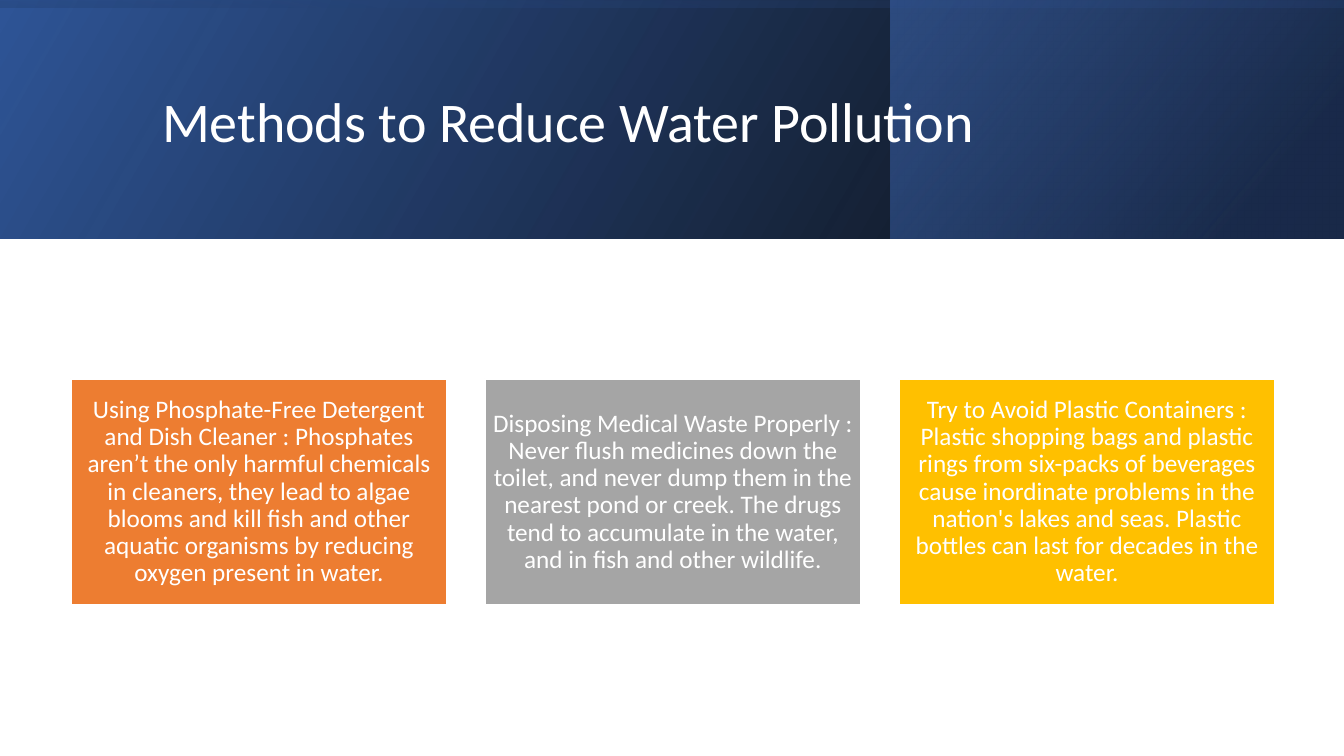
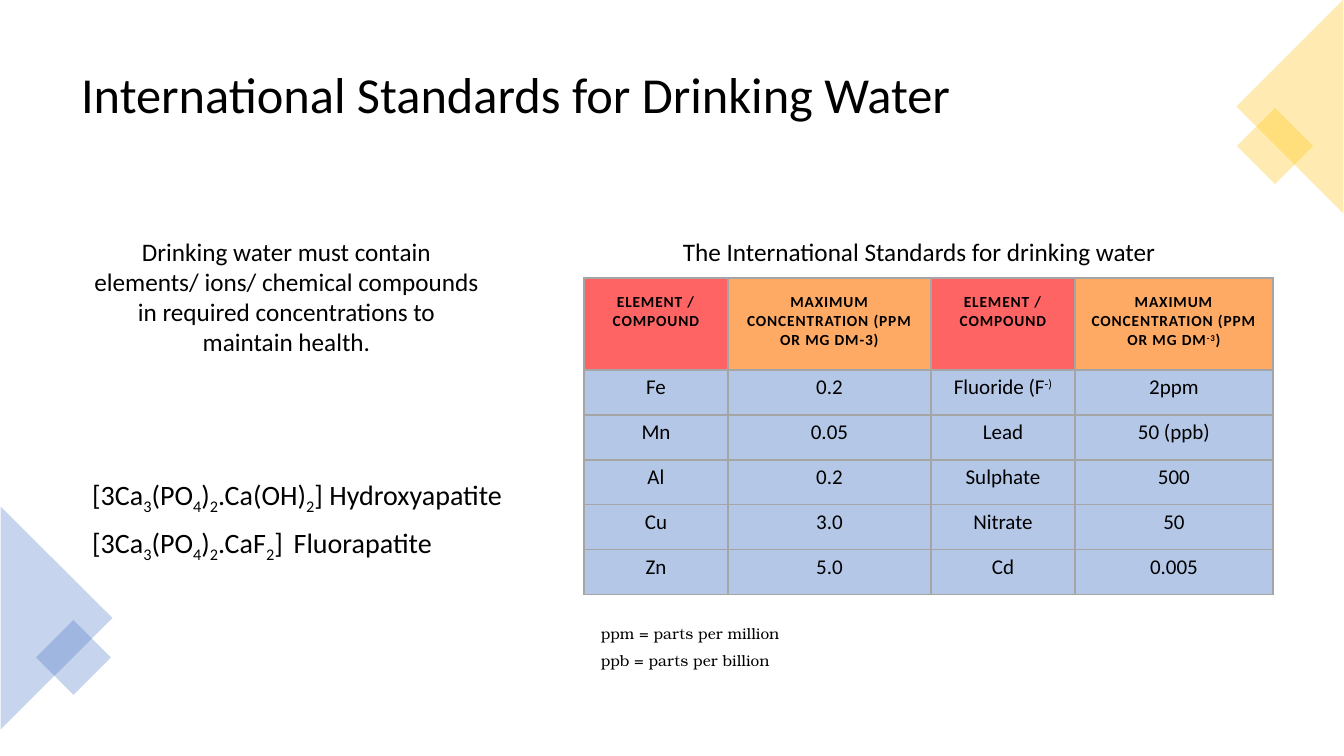
"""Builds two slides on reducing water pollution and on drinking water standards."""
from dataclasses import dataclass
from typing import Any, NamedTuple, Optional

import lxml.etree
import pptx
import pptx.dml.color
import pptx.enum.shapes
import pptx.enum.text
import pptx.oxml.ns
import pptx.util

RGBColor = pptx.dml.color.RGBColor
WHITE = RGBColor(0xFF, 0xFF, 0xFF)
BLACK = RGBColor(0x00, 0x00, 0x00)
NAVY = RGBColor(0x20, 0x38, 0x64)
DEEP_BLUE = RGBColor(0x2F, 0x55, 0x97)
BLUE = RGBColor(0x44, 0x72, 0xC4)
PALE_BLUE = RGBColor(0xB4, 0xC7, 0xE7)
ORANGE = RGBColor(0xED, 0x7D, 0x31)
GREY = RGBColor(0xA5, 0xA5, 0xA5)
GOLD = RGBColor(0xFF, 0xC0, 0x00)
RED = RGBColor(0xFF, 0x64, 0x64)
APRICOT = RGBColor(0xFF, 0xAA, 0x64)

EMU_PER_PX = 9071.43
SUBSCRIPT = -25000
SUPERSCRIPT = 30000
RECTANGLE = pptx.enum.shapes.MSO_SHAPE.RECTANGLE
TRIANGLE = pptx.enum.shapes.MSO_SHAPE.ISOSCELES_TRIANGLE
LEFT = pptx.enum.text.PP_ALIGN.LEFT
CENTER = pptx.enum.text.PP_ALIGN.CENTER
MIDDLE = pptx.enum.text.MSO_ANCHOR.MIDDLE


class Frame(NamedTuple):
    """Position and size in px."""
    left: int
    top: int
    width: int
    height: int


class Stop(NamedTuple):
    """Gradient stop with position and opacity in percent."""
    position: int
    color: RGBColor
    opacity: int


@dataclass(frozen=True)
class TextStyle:
    """Character and paragraph format, with sizes and spaces in points."""
    size: int
    color: RGBColor = BLACK
    font: str = "Calibri"
    bold: bool = False
    align: Any = LEFT
    line: float = 1.0
    before: int = 0
    after: int = 0
    tracking: int = 0
    shift: int = 0


@dataclass(frozen=True)
class Band:
    """Gradient layer of the title band."""
    frame: Frame
    stops: tuple[Stop, Stop]
    angle: int
    rotation: int = 0


@dataclass(frozen=True)
class Card:
    """Coloured box holding one method."""
    color: RGBColor
    text: str


@dataclass(frozen=True)
class Ornament:
    """Translucent corner shape."""
    kind: Any
    frame: Frame
    rotation: int
    color: RGBColor


@dataclass(frozen=True)
class Note:
    """Free text block; bars in a line set off shifted characters."""
    frame: Frame
    lines: tuple[str, ...]
    style: TextStyle


BANDS = (
    Band(Frame(0, 0, 1344, 239), (Stop(0, BLACK, 96), Stop(100, DEEP_BLUE, 100)), 30),
    Band(Frame(891, 0, 452, 239), (Stop(19, NAVY, 68), Stop(100, BLUE, 48)), 40),
    Band(Frame(552, -552, 239, 1344), (Stop(23, DEEP_BLUE, 16), Stop(99, BLACK, 45)), 10, 270),
)
CARDS = (
    Card(ORANGE, "Using Phosphate-Free Detergent and Dish Cleaner : Phosphates aren’t the only "
         "harmful chemicals in cleaners, they lead to algae blooms and kill fish and other "
         "aquatic organisms by reducing oxygen present in water."),
    Card(GREY, "Disposing Medical Waste Properly : Never flush medicines down the toilet, and "
         "never dump them in the nearest pond or creek. The drugs tend to accumulate in the "
         "water, and in fish and other wildlife."),
    Card(GOLD, "Try to Avoid Plastic Containers : Plastic shopping bags and plastic rings from "
         "six-packs of beverages cause inordinate problems in the nation's lakes and seas. "
         "Plastic bottles can last for decades in the water."),
)
FIRST_CARD = Frame(71, 379, 376, 226)
CARD_PITCH = 414
CARD_STYLE = TextStyle(18, WHITE, align=CENTER, line=0.9)

ORNAMENTS = (
    Ornament(TRIANGLE, Frame(-55, 562, 223, 112), 90, BLUE),
    Ornament(RECTANGLE, Frame(47, 631, 53, 53), 45, BLUE),
    Ornament(RECTANGLE, Frame(1248, 119, 54, 54), 45, GOLD),
    Ornament(TRIANGLE, Frame(1183, 53, 214, 107), 270, GOLD),
)
NOTES = (
    Note(Frame(673, 231, 509, 40), ("The International Standards for drinking water",),
         TextStyle(18, after=6)),
    Note(Frame(591, 619, 302, 56), ("ppm = parts per million", "ppb = parts per billion"),
         TextStyle(11, font="TeX Gyre Bonum", after=6)),
    Note(Frame(82, 231, 409, 132),
         ("Drinking water must contain elements/ ions/ chemical compounds in required "
          "concentrations to maintain health.",), TextStyle(18, align=CENTER, after=6)),
)
FORMULAS = Note(
    Frame(82, 473, 478, 98),
    ("[3Ca|3|(PO|4|)|2|.Ca(OH)|2|] Hydroxyapatite", "[3Ca|3|(PO|4|)|2|.CaF|2|]\tFluorapatite"),
    TextStyle(20, line=0.9, before=10, shift=SUBSCRIPT))
FORMULA_TAB = 241

STANDARDS = (
    ("ELEMENT / COMPOUND", "MAXIMUM CONCENTRATION (PPM OR MG DM-3)",
     "ELEMENT / COMPOUND", "MAXIMUM CONCENTRATION (PPM OR MG DM|-3|)"),
    ("Fe", "0.2", "Fluoride (F|-)", "2ppm"),
    ("Mn", "0.05", "Lead", "50 (ppb)"),
    ("Al", "0.2", "Sulphate", "500"),
    ("Cu", "3.0", "Nitrate", "50"),
    ("Zn", "5.0", "Cd", "0.005"),
)
COLUMN_WIDTHS = (144, 203, 144, 198)
HEADER_HEIGHT, ROW_HEIGHT = 92, 45
HEADER_STYLE = TextStyle(11, bold=True, align=CENTER, tracking=60, shift=SUPERSCRIPT)
VALUE_STYLE = TextStyle(15, align=CENTER, shift=SUPERSCRIPT)


def px(length: int) -> pptx.util.Emu:
    """Turn px into EMU."""
    return pptx.util.Emu(round(length * EMU_PER_PX))


def place(frame: Frame) -> tuple[pptx.util.Emu, ...]:
    """Turn a frame into EMU."""
    return tuple(px(length) for length in frame)


def add_child(parent: Any, tag: str, **attributes: str) -> Any:
    """Append a DrawingML element."""
    return lxml.etree.SubElement(parent, pptx.oxml.ns.qn(tag), attributes)


def write(paragraph: Any, line: str, style: TextStyle) -> None:
    """Write a line whose odd parts between bars are shifted."""
    paragraph.alignment = style.align
    paragraph.line_spacing = style.line
    paragraph.space_before = pptx.util.Pt(style.before)
    paragraph.space_after = pptx.util.Pt(style.after)
    for index, part in enumerate(line.split("|")):
        run = paragraph.add_run()
        run.text = part
        run.font.name = style.font
        run.font.size = pptx.util.Pt(style.size)
        run.font.bold = style.bold
        run.font.color.rgb = style.color
        properties = run.font._element
        if style.tracking:
            properties.set("spc", str(style.tracking))
        if index % 2:
            properties.set("baseline", str(style.shift))


def write_lines(text_frame: Any, lines: tuple[str, ...], style: TextStyle) -> None:
    """Fill a text frame with one paragraph per line."""
    text_frame.word_wrap = True
    text_frame.auto_size = pptx.enum.text.MSO_AUTO_SIZE.NONE
    for index, line in enumerate(lines):
        write(text_frame.add_paragraph() if index else text_frame.paragraphs[0], line, style)


def move(placeholder: Any, frame: Frame) -> None:
    """Move a placeholder to a frame."""
    placeholder.left, placeholder.top, placeholder.width, placeholder.height = place(frame)


def add_title(slide: Any, text: str, frame: Frame, style: TextStyle) -> None:
    """Fill the title placeholder and bring it to the front."""
    title = slide.shapes.title
    move(title, frame)
    title.text_frame.vertical_anchor = MIDDLE
    write_lines(title.text_frame, (text,), style)
    title.element.getparent().append(title.element)


def add_plain_shape(slide: Any, kind: Any, frame: Frame, color: Optional[RGBColor] = None,
                    rotation: int = 0) -> Any:
    """Add a shape without outline or shadow."""
    shape = slide.shapes.add_shape(kind, *place(frame))
    shape.shadow.inherit = False
    shape.line.fill.background()
    shape.rotation = rotation
    if color is not None:
        shape.fill.solid()
        shape.fill.fore_color.rgb = color
    return shape


def set_opacity(shape: Any, *percents: int) -> None:
    """Give the fill colours of a shape their opacity."""
    colors = list(shape.element.spPr.iter(pptx.oxml.ns.qn("a:srgbClr")))
    for color, percent in zip(colors, percents):
        add_child(color, "a:alpha", val=str(percent * 1000))


def add_band(slide: Any, band: Band) -> None:
    """Add a mirrored gradient layer."""
    layer = add_plain_shape(slide, RECTANGLE, band.frame, rotation=band.rotation)
    layer.element.spPr.find(pptx.oxml.ns.qn("a:xfrm")).set("flipH", "1")
    layer.fill.gradient()
    layer.fill.gradient_angle = band.angle
    for target, stop in zip(layer.fill.gradient_stops, band.stops):
        target.position = stop.position / 100
        target.color.rgb = stop.color
    set_opacity(layer, *(stop.opacity for stop in band.stops))


def add_card(slide: Any, card: Card, frame: Frame) -> None:
    """Add a method card."""
    box = add_plain_shape(slide, RECTANGLE, frame, card.color)
    box.line.color.rgb = WHITE
    box.line.width = pptx.util.Pt(1)
    body = box.text_frame
    body.margin_left = body.margin_right = body.margin_top = body.margin_bottom = px(7)
    body.vertical_anchor = MIDDLE
    write_lines(body, (card.text,), CARD_STYLE)


def add_formulas(slide: Any) -> None:
    """Fill the body placeholder with the two formulas."""
    formulas = slide.placeholders[1]
    move(formulas, FORMULAS.frame)
    write_lines(formulas.text_frame, FORMULAS.lines, FORMULAS.style)
    for paragraph in formulas.text_frame.paragraphs:
        properties = paragraph._p.get_or_add_pPr()
        properties.set("marL", "0")
        properties.set("indent", "0")
        add_child(properties, "a:buNone")
        add_child(add_child(properties, "a:tabLst"), "a:tab", pos=str(px(FORMULA_TAB)), algn="l")


def format_cell(cell: Any, text: str, header: bool, color: RGBColor) -> None:
    """Write, frame and fill one table cell."""
    margins = (15, 15, 15, 15) if header else (10, 5, 10, 10)
    cell.margin_left, cell.margin_top, cell.margin_right, cell.margin_bottom = map(px, margins)
    write(cell.text_frame.paragraphs[0], text, HEADER_STYLE if header else VALUE_STYLE)
    properties = cell._tc.get_or_add_tcPr()
    for side in ("a:lnL", "a:lnR", "a:lnT", "a:lnB"):
        border = add_child(properties, side, w=str(pptx.util.Pt(1)))
        add_child(add_child(border, "a:solidFill"), "a:srgbClr", val=str(GREY))
    cell.fill.solid()
    cell.fill.fore_color.rgb = color


def add_standards(slide: Any) -> None:
    """Add the table of limits."""
    heights = (HEADER_HEIGHT,) + (ROW_HEIGHT,) * (len(STANDARDS) - 1)
    frame = Frame(584, 278, sum(COLUMN_WIDTHS), sum(heights))
    table = slide.shapes.add_table(len(heights), len(COLUMN_WIDTHS), *place(frame)).table
    table.horz_banding = False
    for column, width in zip(table.columns, COLUMN_WIDTHS):
        column.width = px(width)
    for row_index, (row, height) in enumerate(zip(table.rows, heights)):
        row.height = px(height)
        header = row_index == 0
        for column_index, text in enumerate(STANDARDS[row_index]):
            color = (RED, APRICOT)[column_index % 2] if header else PALE_BLUE
            format_cell(row.cells[column_index], text, header, color)


def build_methods(slide: Any) -> None:
    """Build the slide on methods."""
    for band in BANDS:
        add_band(slide, band)
    add_title(slide, "Methods to Reduce Water Pollution", Frame(152, 38, 1072, 173),
              TextStyle(40, WHITE, line=0.9))
    for index, card in enumerate(CARDS):
        add_card(slide, card, FIRST_CARD._replace(left=FIRST_CARD.left + index * CARD_PITCH))


def build_standards(slide: Any) -> None:
    """Build the slide on standards."""
    add_title(slide, "International Standards for Drinking Water", Frame(71, 35, 1203, 125),
              TextStyle(36, line=0.9))
    add_formulas(slide)
    for ornament in ORNAMENTS:
        set_opacity(add_plain_shape(slide, ornament.kind, ornament.frame, ornament.color,
                                    ornament.rotation), 30)
    for note in NOTES:
        write_lines(slide.shapes.add_textbox(*place(note.frame)).text_frame, note.lines, note.style)
    add_standards(slide)


def main() -> None:
    """Build and save the presentation."""
    deck = pptx.Presentation()
    deck.slide_width, deck.slide_height = px(1344), px(756)
    build_methods(deck.slides.add_slide(deck.slide_layouts[5]))
    build_standards(deck.slides.add_slide(deck.slide_layouts[1]))
    deck.save("out.pptx")


if __name__ == "__main__":
    main()
